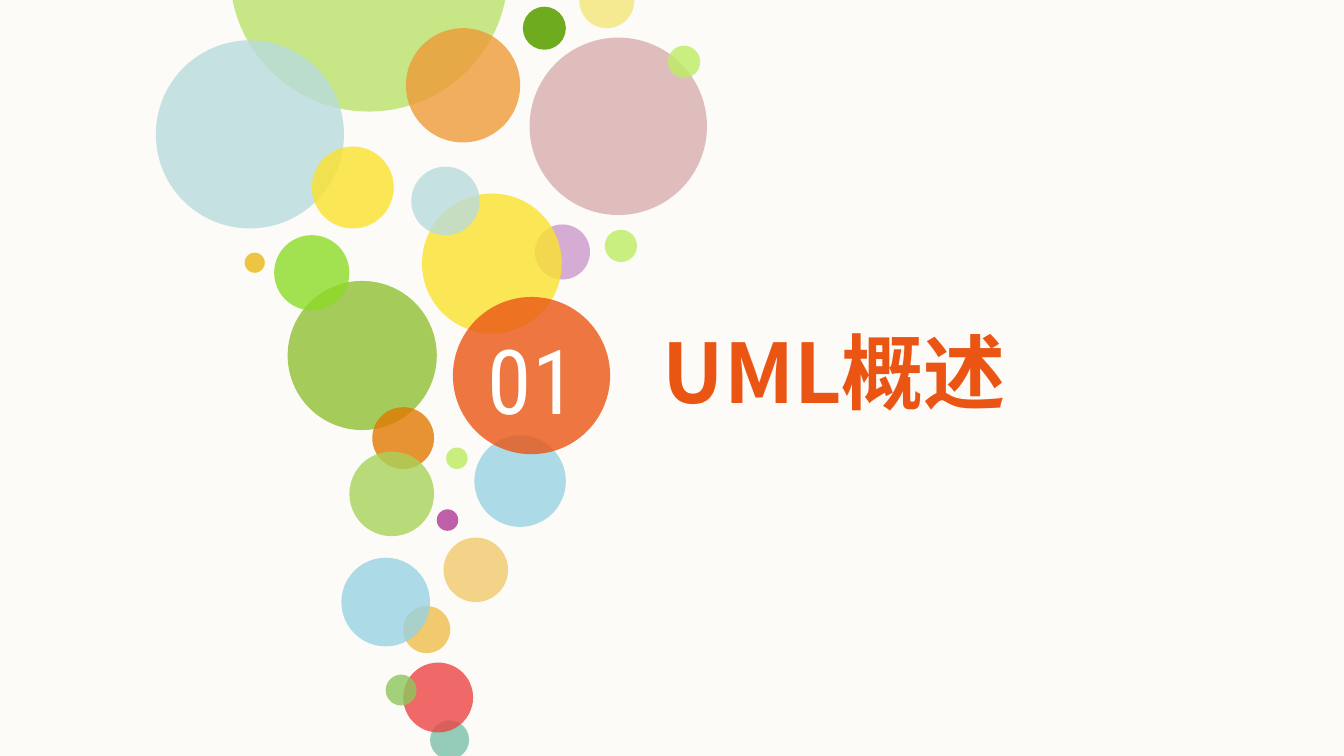
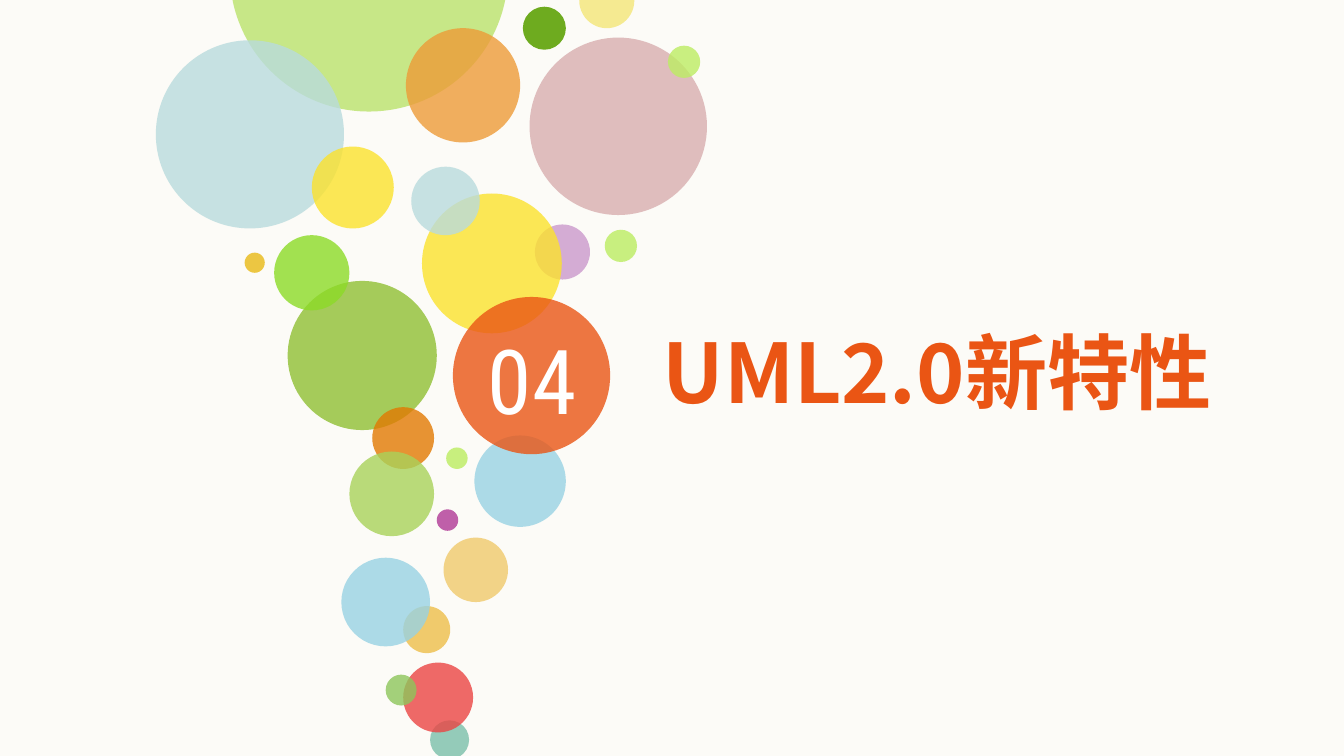
from pptx import Presentation
from pptx.dml.color import RGBColor
from pptx.enum import shapes, text
from pptx.oxml import ns, xmlchemy
from pptx.util import Inches, Pt

PAPER, ORANGE, WHITE = "FCFBF7", "EA5514", "FFFFFF"
NUMBER_FONT, TITLE_FONT = "Roboto Condensed", "Noto Sans CJK SC"
TITLE_ONLY = 5

# Left, top, diameter, colour and opacity in percent, from back to front
BUBBLES = [
    (1.71, -1.24, 2.07, "BAE36B", 80),
    (3.89, 0.05, 0.32, "6EAB1F", 100),
    (1.16, 0.3, 1.4, "B9DBDD", 80),
    (3.02, 0.21, 0.85, "ED9B38", 80),
    (4.31, -0.2, 0.41, "F5EA91", 100),
    (3.94, 0.28, 1.32, "D8AEAF", 80),
    (2.14, 2.09, 1.11, "A5CB5A", 100),
    (4.97, 0.34, 0.24, "BDED63", 80),
    (4.5, 1.71, 0.24, "BCED61", 80),
    (3.98, 1.67, 0.41, "CB99CC", 80),
    (3.14, 1.44, 1.04, "FBE22D", 80),
    (2.32, 1.09, 0.61, "FBE22D", 80),
    (2.04, 1.75, 0.56, "8CDB27", 80),
    (1.82, 1.88, 0.15, "E9B915", 80),
    (3.32, 3.33, 0.16, "BCED60", 80),
    (3.25, 3.79, 0.16, "B03896", 80),
    (3.3, 4, 0.48, "F0CA6C", 80),
    (3, 4.51, 0.35, "F0CA6C", 100),
    (3.2, 5.36, 0.29, "7BBFAA", 80),
    (3, 4.93, 0.52, "EB4544", 80),
    (2.87, 5.02, 0.23, "8DC65B", 80),
    (2.54, 4.15, 0.66, "98D2E3", 80),
    (3.06, 1.24, 0.51, "B9DBDD", 80),
    (3.53, 3.24, 0.68, "98D2E3", 80),
    (2.77, 3.03, 0.46, "E27902", 80),
    (2.6, 3.36, 0.63, "A9D25A", 80),
    (3.37, 2.21, 1.17, ORANGE, 80),
]

# Number, title and title width of each section
SECTIONS = [("01", "UML概述", 3.46), ("04", "UML2.0新特性", 4.48)]


def paint(fill, colour, opacity=100):
    fill.solid()
    fill.fore_color.rgb = RGBColor.from_string(colour)
    if opacity < 100:
        tint = fill._xPr.find(ns.qn("a:solidFill"))[0]
        alpha = xmlchemy.OxmlElement("a:alpha")
        alpha.set("val", str(opacity * 1000))
        tint.append(alpha)


def write(box, words, font, size, colour, bold, align):
    """Fill a box with one line of text, without insets, from its top."""
    frame = box.text_frame
    frame.text = words
    frame.word_wrap = True
    frame.auto_size = text.MSO_AUTO_SIZE.SHAPE_TO_FIT_TEXT
    frame.vertical_anchor = text.MSO_ANCHOR.TOP
    frame.margin_left = frame.margin_right = 0
    frame.margin_top = frame.margin_bottom = 0
    para = frame.paragraphs[0]
    para.alignment = align
    span = para.runs[0]
    span.font.name, span.font.size, span.font.bold = font, Pt(size), bold
    paint(span.font.fill, colour)
    east_asian = xmlchemy.OxmlElement("a:ea")
    east_asian.set("typeface", font)
    span.font._element.find(ns.qn("a:latin")).addnext(east_asian)


deck = Presentation()
deck.slide_width, deck.slide_height = Inches(10), Inches(5.625)
paint(deck.slide_master.background.fill, PAPER)

for number, title, title_width in SECTIONS:
    page = deck.slides.add_slide(deck.slide_layouts[TITLE_ONLY])

    for left, top, diameter, colour, opacity in BUBBLES:
        bubble = page.shapes.add_shape(
            shapes.MSO_SHAPE.OVAL, Inches(left), Inches(top), Inches(diameter), Inches(diameter))
        bubble.shadow.inherit = False
        bubble.line.fill.background()
        paint(bubble.fill, colour, opacity)

    number_box = page.shapes.add_textbox(Inches(3.56), Inches(2.42), Inches(0.8), Inches(0.81))
    write(number_box, number, NUMBER_FONT, 48, WHITE, False, text.PP_ALIGN.CENTER)

    title_box = page.shapes.title
    title_box.left, title_box.top = Inches(4.93), Inches(2.39)
    title_box.width, title_box.height = Inches(title_width), Inches(0.74)
    write(title_box, title, TITLE_FONT, 44, ORANGE, True, text.PP_ALIGN.LEFT)

deck.save("out.pptx")
